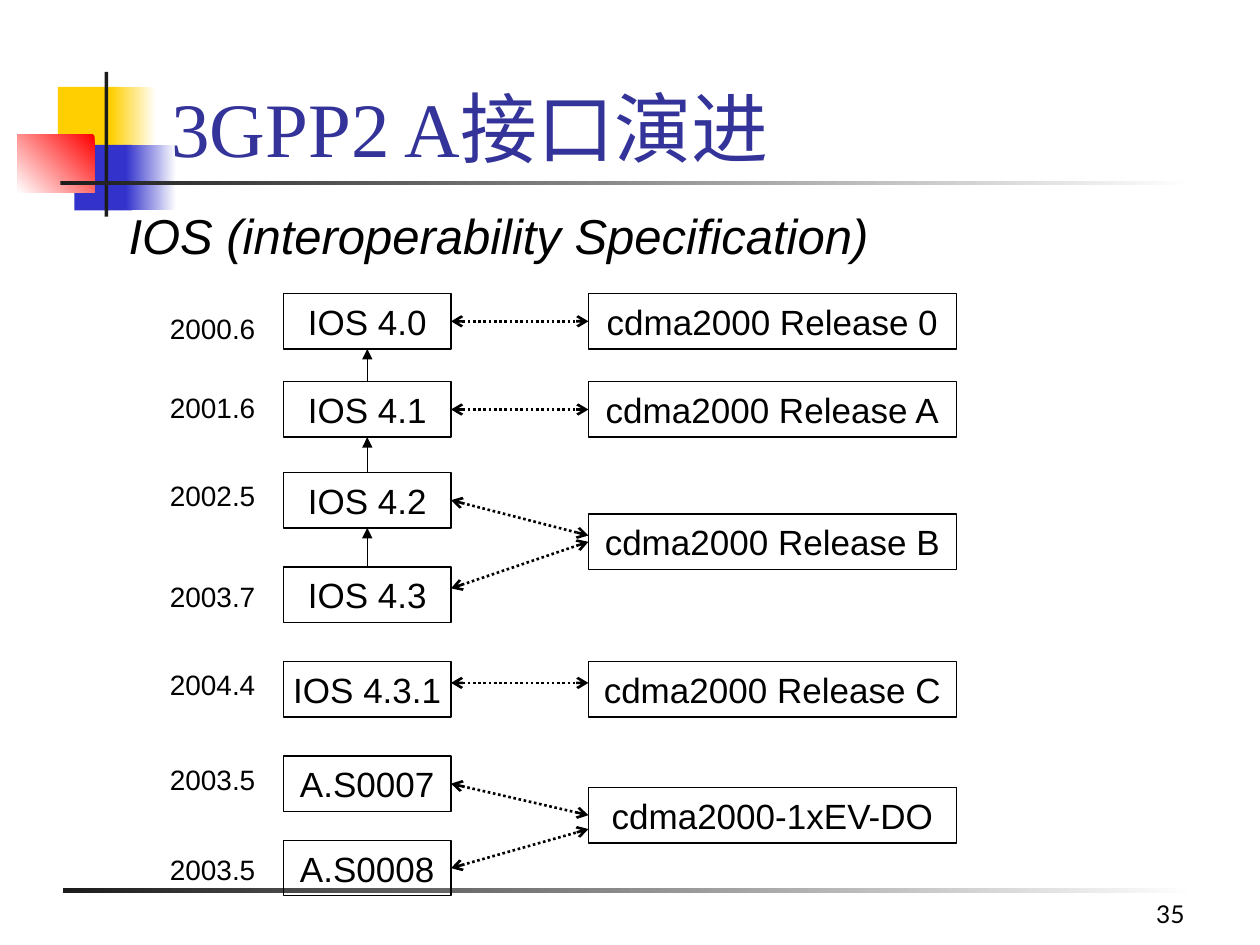
from pptx import Presentation
from pptx.dml.color import RGBColor
from pptx.enum.dml import MSO_LINE
from pptx.enum.shapes import MSO_CONNECTOR, MSO_SHAPE
from pptx.enum.text import MSO_ANCHOR, MSO_AUTO_SIZE, PP_ALIGN
from pptx.oxml.ns import qn
from pptx.util import Inches, Pt
from lxml.etree import SubElement

BLACK = RGBColor(0x00, 0x00, 0x00)
WHITE = RGBColor(0xFF, 0xFF, 0xFF)
CHARCOAL = RGBColor(0x1C, 0x1C, 0x1C)
YELLOW = RGBColor(0xFF, 0xCF, 0x01)
BLUE = RGBColor(0x33, 0x33, 0xCC)
RED = RGBColor(0xFF, 0x00, 0x00)
INDIGO = RGBColor(0x33, 0x33, 0x99)

TITLE = "3GPP2 A接口演进"
SUBTITLE = "IOS (interoperability Specification)"
PAGE = "35"

# left, top, width, height, colour, angle of the fade to white (None: solid)
DECORATION = [
    (0.46, 0.69, 0.48, 0.52, YELLOW, None),
    (0.88, 0.69, 0.36, 0.52, YELLOW, 0),
    (0.59, 1.15, 0.46, 0.52, BLUE, None),
    (1.00, 1.15, 0.40, 0.52, BLUE, 0),
    (0.14, 1.07, 0.61, 0.46, RED, 225),
    (0.83, 0.57, 0.03, 1.15, CHARCOAL, None),
    (0.48, 1.44, 9.00, 0.03, CHARCOAL, 0),
    (0.50, 7.05, 9.00, 0.04, CHARCOAL, 0),
]
# specification, box top, date, date top
SPECS = [
    ("IOS 4.0", 2.33, "2000.6", 2.42),
    ("IOS 4.1", 3.03, "2001.6", 3.05),
    ("IOS 4.2", 3.75, "2002.5", 3.75),
    ("IOS 4.3", 4.50, "2003.7", 4.55),
    ("IOS 4.3.1", 5.25, "2004.4", 5.25),
    ("A.S0007", 6.00, "2003.5", 6.00),
    ("A.S0008", 6.67, "2003.5", 6.72),
]
RELEASES = [
    ("cdma2000 Release 0", 2.33),
    ("cdma2000 Release A", 3.03),
    ("cdma2000 Release B", 4.08),
    ("cdma2000 Release C", 5.25),
    ("cdma2000-1xEV-DO", 6.25),
]
SUCCESSIONS = [("IOS 4.3", "IOS 4.2"), ("IOS 4.2", "IOS 4.1"), ("IOS 4.1", "IOS 4.0")]
# specification, height of its end, release, height of its end
MATCHES = [
    ("IOS 4.0", 2.58, "cdma2000 Release 0", 2.58),
    ("IOS 4.1", 3.25, "cdma2000 Release A", 3.25),
    ("IOS 4.3.1", 5.42, "cdma2000 Release C", 5.42),
    ("IOS 4.2", 4.00, "cdma2000 Release B", 4.25),
    ("A.S0007", 6.25, "cdma2000-1xEV-DO", 6.50),
    ("IOS 4.3", 4.67, "cdma2000 Release B", 4.33),
    ("A.S0008", 6.92, "cdma2000-1xEV-DO", 6.58),
]
DATE_LEFT, DATE_WIDTH, DATE_HEIGHT = 1.25, 1.08, 0.37
SPEC_LEFT, SPEC_WIDTH = 2.25, 1.33
RELEASE_LEFT, RELEASE_WIDTH = 4.67, 2.92
BOX_HEIGHT = 0.44
TOP, LEFT, BOTTOM, RIGHT = range(4)
JOIN_TOLERANCE = Inches(0.035)

prs = Presentation()
prs.slide_width, prs.slide_height = Inches(10), Inches(7.5)
slide = prs.slides.add_slide(prs.slide_layouts[1])
shapes = slide.shapes


def place(shape, left, top, width, height):
    shape.left, shape.top = Inches(left), Inches(top)
    shape.width, shape.height = Inches(width), Inches(height)


def write(shape, text, size, font="Arial", color=BLACK, align=PP_ALIGN.LEFT,
          anchor=MSO_ANCHOR.TOP, italic=False):
    frame = shape.text_frame
    frame.text = text
    frame.word_wrap = True
    frame.auto_size = MSO_AUTO_SIZE.NONE
    frame.vertical_anchor = anchor
    paragraph = frame.paragraphs[0]
    paragraph.alignment = align
    paragraph.space_before = Pt(0)
    run_font = paragraph.runs[0].font
    run_font.size, run_font.name, run_font.italic = Pt(size), font, italic
    run_font.color.rgb = color


def add_label(text, left, top, width, height, size, **style):
    label = shapes.add_textbox(*map(Inches, (left, top, width, height)))
    write(label, text, size, **style)


def add_decoration(left, top, width, height, color, angle):
    block = shapes.add_shape(MSO_SHAPE.RECTANGLE, *map(Inches, (left, top, width, height)))
    block.shadow.inherit = False
    block.line.fill.background()
    if angle is None:
        block.fill.solid()
        block.fill.fore_color.rgb = color
        return
    block.fill.gradient()
    block.fill.gradient_angle = angle
    for stop, stop_color in zip(block.fill.gradient_stops, (color, WHITE)):
        stop.color.rgb = stop_color


def add_box(text, left, top, width):
    box = shapes.add_shape(MSO_SHAPE.RECTANGLE, *map(Inches, (left, top, width, BOX_HEIGHT)))
    box.shadow.inherit = False
    box.fill.background()
    box.line.color.rgb = BLACK
    box.line.width = Pt(0.75)
    write(box, text, 20, align=PP_ALIGN.CENTER, anchor=MSO_ANCHOR.MIDDLE)
    box.text_frame.margin_left = box.text_frame.margin_right = Inches(0.02)
    return box


def add_arrow(start, end, width, **heads):
    arrow = shapes.add_connector(MSO_CONNECTOR.STRAIGHT, *start, *end)
    arrow.line.color.rgb = BLACK
    arrow.line.width = Pt(width)
    properties = arrow._element.spPr
    SubElement(properties, qn("a:effectLst"))
    return arrow


def set_heads(arrow, **heads):
    """Add arrowheads; headEnd is the start of the line, tailEnd its end."""
    for end, kind in heads.items():
        SubElement(arrow.line._get_or_add_ln(), qn(f"a:{end}"), type=kind)


def is_middle(box, y):
    return abs(box.top + box.height / 2 - y) <= JOIN_TOLERANCE


for decoration in DECORATION:
    add_decoration(*decoration)

title, subtitle = shapes.title, slide.placeholders[1]
for placeholder in (title, subtitle):
    shapes._spTree.append(placeholder._element)  # in front of the decoration
place(title, 1.26, 0.25, 8.52, 1.17)
write(title, TITLE, 44, font="Times New Roman", color=INDIGO, anchor=MSO_ANCHOR.BOTTOM)
place(subtitle, 0.92, 1.58, 8.5, 0.67)
write(subtitle, SUBTITLE, 28, italic=True)
indent = subtitle.text_frame.paragraphs[0]._p.get_or_add_pPr()
indent.set("marL", str(Inches(0.38)))
indent.set("indent", str(-Inches(0.38)))
SubElement(indent, qn("a:buNone"))

boxes = {}
for spec, top, date, date_top in SPECS:
    boxes[spec] = add_box(spec, SPEC_LEFT, top, SPEC_WIDTH)
    add_label(date, DATE_LEFT, date_top, DATE_WIDTH, DATE_HEIGHT, 16)
for release, top in RELEASES:
    boxes[release] = add_box(release, RELEASE_LEFT, top, RELEASE_WIDTH)

for newer, older in SUCCESSIONS:
    arrow = add_arrow((0, 0), (0, 0), 0.75)
    arrow.begin_connect(boxes[newer], TOP)
    arrow.end_connect(boxes[older], BOTTOM)
    set_heads(arrow, tailEnd="triangle")

for spec, spec_y, release, release_y in MATCHES:
    spec_box, release_box = boxes[spec], boxes[release]
    start = spec_box.left + spec_box.width, Inches(spec_y)
    end = release_box.left, Inches(release_y)
    arrow = add_arrow(start, end, 1.5)
    arrow.line.dash_style = MSO_LINE.ROUND_DOT
    set_heads(arrow, headEnd="arrow", tailEnd="arrow")
    if is_middle(spec_box, start[1]):
        arrow.begin_connect(spec_box, RIGHT)
    if is_middle(release_box, end[1]):
        arrow.end_connect(release_box, LEFT)

add_label(PAGE, 7.42, 6.92, 2.08, 0.5, 14, font="Lato",
          align=PP_ALIGN.RIGHT, anchor=MSO_ANCHOR.BOTTOM)

prs.save("out.pptx")
